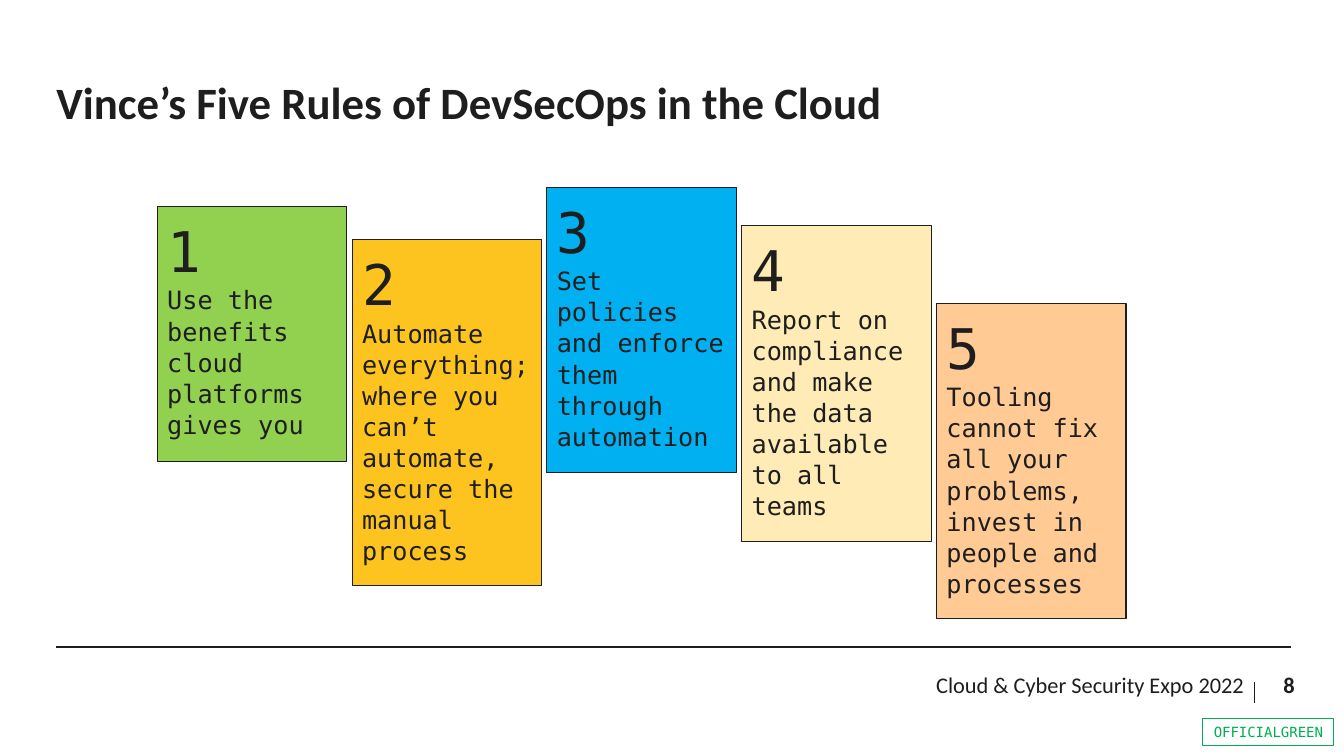
from lxml import etree
from pptx import Presentation
from pptx.dml.color import RGBColor
from pptx.enum.shapes import MSO_CONNECTOR, MSO_SHAPE
from pptx.enum.text import MSO_ANCHOR, MSO_AUTO_SIZE, PP_ALIGN
from pptx.oxml.ns import qn
from pptx.util import Inches, Pt

INK = RGBColor(0x1E, 0x1E, 0x1E)
LABEL_GREEN = RGBColor(0x00, 0xB0, 0x50)
SANS, MONO = "Calibri", "DejaVu Sans Mono"
LEFT, CENTER, RIGHT = PP_ALIGN.LEFT, PP_ALIGN.CENTER, PP_ALIGN.RIGHT
TOP, MIDDLE = MSO_ANCHOR.TOP, MSO_ANCHOR.MIDDLE
RECTANGLE, STRAIGHT = MSO_SHAPE.RECTANGLE, MSO_CONNECTOR.STRAIGHT
NO_AUTOFIT = MSO_AUTO_SIZE.NONE

# Content
TITLE = "Vince’s Five Rules of DevSecOps in the Cloud"
# Rule, fill, top of the card, number of text lines
RULES = [
    ("Use the benefits cloud platforms gives you",
     RGBColor(0x92, 0xD0, 0x50), 2.05, 5),
    ("Automate everything; where you can’t automate, secure the manual process",
     RGBColor(0xFD, 0xC4, 0x1F), 2.38, 8),
    ("Set policies and enforce them through automation",
     RGBColor(0x00, 0xB0, 0xF0), 1.86, 6),
    ("Report on compliance and make the data available to all teams",
     RGBColor(0xFE, 0xEB, 0xB5), 2.24, 7),
    ("Tooling cannot fix all your problems, invest in people and processes",
     RGBColor(0xFF, 0xCA, 0x93), 3.01, 7),
]
# Text, left, width, bold
FOOTERS = [
    ("Cloud & Cyber Security Expo 2022", 5.29, 7.05, False),
    ("8", 12.49, 0.35, True),
]
# Start and end of each rule line
FOOTER_LINES = [((0.56, 6.42), (12.8, 6.42)), ((12.44, 6.77), (12.44, 6.97))]
CLASSIFICATION = "OFFICIALGREEN"

# Grid
CARD_LEFT, CARD_WIDTH, CARD_PITCH = 1.56, 1.88, 1.932
CARD_BASE, LINE_HEIGHT = 1.01, 0.303
FOOTER_TOP, FOOTER_HEIGHT = 6.66, 0.35


def place(shape, left, top, width, height):
    shape.left, shape.top = Inches(left), Inches(top)
    shape.width, shape.height = Inches(width), Inches(height)


def set_frame(text_frame, insets, anchor=TOP, wrap=True):
    text_frame.auto_size = NO_AUTOFIT
    text_frame.word_wrap = wrap
    text_frame.vertical_anchor = anchor
    (text_frame.margin_left, text_frame.margin_top,
     text_frame.margin_right, text_frame.margin_bottom) = map(Inches, insets)


def set_text(paragraph, text, font_name, size, color=INK, bold=False, align=LEFT):
    paragraph.text = text
    paragraph.alignment = align
    font = paragraph.runs[0].font
    font.name, font.size, font.bold = font_name, Pt(size), bold
    font.color.rgb = color


def add_rectangle(slide, left, top, width, height, line_color):
    shape = slide.shapes.add_shape(RECTANGLE, 0, 0, 0, 0)
    place(shape, left, top, width, height)
    shape.shadow.inherit = False
    shape.line.color.rgb = line_color
    shape.line.width = Pt(0.75)
    return shape


def add_card(slide, index, rule, fill, top, lines):
    card = add_rectangle(slide, CARD_LEFT + index * CARD_PITCH, top, CARD_WIDTH,
                         CARD_BASE + lines * LINE_HEIGHT, INK)
    card.fill.solid()
    card.fill.fore_color.rgb = fill
    text_frame = card.text_frame
    set_frame(text_frame, (0.1, 0.08, 0.1, 0.05))
    set_text(text_frame.paragraphs[0], str(index + 1), MONO, 40)
    set_text(text_frame.add_paragraph(), rule, MONO, 18)
    for paragraph in text_frame.paragraphs:
        paragraph.line_spacing = 1.03


def main():
    presentation = Presentation()
    presentation.slide_width = Inches(13.33)
    presentation.slide_height = Inches(7.5)
    slide = presentation.slides.add_slide(presentation.slide_layouts[5])

    # Title
    title = slide.shapes.title
    place(title, 0.56, 0.74, 11.86, 0.84)
    set_frame(title.text_frame, (0, 0, 0, 0))
    set_text(title.text_frame.paragraphs[0], TITLE, SANS, 32, bold=True)

    # Footer lines and texts
    for start, end in FOOTER_LINES:
        line = slide.shapes.add_connector(STRAIGHT, *map(Inches, start + end))
        line.line.color.rgb = INK
        line.line.width = Pt(1)
        etree.SubElement(line._element.spPr, qn("a:effectLst"))
    for text, left, width, bold in FOOTERS:
        footer = slide.shapes.add_textbox(0, 0, 0, 0)
        place(footer, left, FOOTER_TOP, width, FOOTER_HEIGHT)
        set_frame(footer.text_frame, (0, 0, 0, 0))
        set_text(footer.text_frame.paragraphs[0], text, SANS, 16,
                 bold=bold, align=RIGHT)

    # Rule cards
    for index, rule in enumerate(RULES):
        add_card(slide, index, *rule)

    # Classification label
    label = add_rectangle(slide, 11.93, 7.13, 1.3, 0.27, LABEL_GREEN)
    label.fill.background()
    set_frame(label.text_frame, (0.1, 0.05, 0.1, 0.05), MIDDLE, wrap=False)
    set_text(label.text_frame.paragraphs[0], CLASSIFICATION, MONO, 10,
             LABEL_GREEN, align=CENTER)

    presentation.save("out.pptx")


if __name__ == "__main__":
    main()
